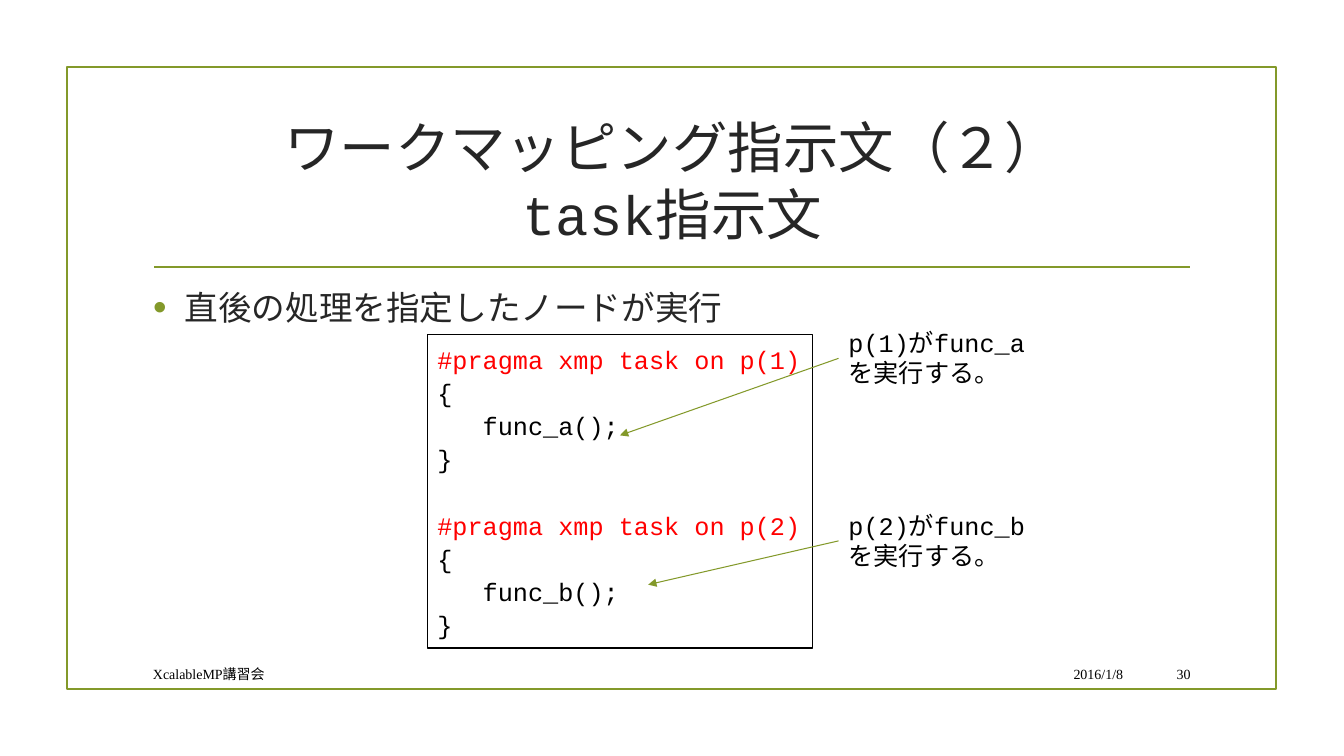
from pptx import Presentation
from pptx.dml.color import RGBColor
from pptx.enum import shapes, text
from pptx.oxml.ns import qn
from pptx.util import Pt
from lxml import etree

GREEN = RGBColor(0x83, 0x99, 0x2A)
DARK = RGBColor(0x26, 0x26, 0x26)
BLACK = RGBColor(0, 0, 0)
RED = RGBColor(0xFF, 0, 0)
WHITE = RGBColor(0xFF, 0xFF, 0xFF)
SERIF, SANS, MONO = "Times New Roman", "Arial", "Courier New"
LEFT, CENTER, RIGHT = text.PP_ALIGN.LEFT, text.PP_ALIGN.CENTER, text.PP_ALIGN.RIGHT

TITLE = [[("ワークマッピング指示文（２）\v", SERIF), ("task", MONO), ("指示文", SERIF)]]
BULLET = [[("直後の処理を指定したノードが実行", SERIF)]]
CODE = [
    ["#pragma xmp task on p(1)", "{", "   func_a();", "}"],
    ["#pragma xmp task on p(2)", "{", "   func_b();", "}"],
]
NOTES = [
    ("p(1)", "func_a", 230.4, (442.8, 311)),
    ("p(2)", "func_b", 360.8, (463, 417.6)),
]
FOOTERS = [
    ("2016/1/8", 683.3, 126, RIGHT),
    ("XcalableMP講習会", 102.2, 575.3, LEFT),
    ("30", 815, 42.5, RIGHT),
]
BODY_LEFT, BODY_WIDTH = 102.2, 756
CODE_GAP, BLOCK_GAP = 2.1, 25.8
NOTE_LEFT, NOTE_WIDTH, NOTE_HEIGHT = 599, 170, 51.1


def write(tf, paragraphs, size, color, align=LEFT, anchor=text.MSO_ANCHOR.TOP):
    tf.word_wrap = True
    tf.auto_size = text.MSO_AUTO_SIZE.NONE
    tf.vertical_anchor = anchor
    for i, runs in enumerate(paragraphs):
        p = tf.paragraphs[0] if i == 0 else tf.add_paragraph()
        p.alignment = align
        p.space_before = Pt(0)
        for words, font in runs:
            head, *rest = words.split("\v")
            for j, part in enumerate([head] + rest):
                if j:
                    p.add_line_break()
                if not part:
                    continue
                r = p.add_run()
                r.text = part
                r.font.size = Pt(size)
                r.font.name = font
                r.font.color.rgb = color
                ea = etree.SubElement(r.font._element, qn("a:ea"))
                ea.set("typeface", SANS)
    return tf


def place(sp, left, top, width, height):
    sp.left, sp.top, sp.width, sp.height = Pt(left), Pt(top), Pt(width), Pt(height)


def add_box(s, left, top, width, height, line, weight):
    sp = s.shapes.add_shape(shapes.MSO_SHAPE.RECTANGLE, Pt(left), Pt(top), Pt(width), Pt(height))
    sp.shadow.inherit = False
    sp.fill.solid()
    sp.fill.fore_color.rgb = WHITE
    sp.line.color.rgb = line
    sp.line.width = Pt(weight)
    return sp


def add_line(s, start, end, weight):
    cx = s.shapes.add_connector(shapes.MSO_CONNECTOR.STRAIGHT, *map(Pt, start + end))
    cx.line.color.rgb = GREEN
    cx.line.width = Pt(weight)
    etree.SubElement(cx._element.spPr, qn("a:effectLst"))
    return cx


def add_bullet(p):
    pPr = p._p.get_or_add_pPr()
    pPr.set("marL", str(Pt(22.5)))
    pPr.set("indent", str(-Pt(22.5)))
    color = etree.SubElement(pPr, qn("a:buClr"))
    etree.SubElement(color, qn("a:srgbClr")).set("val", str(GREEN))
    etree.SubElement(pPr, qn("a:buSzPct")).set("val", "115000")
    etree.SubElement(pPr, qn("a:buFont")).set("typeface", SANS)
    etree.SubElement(pPr, qn("a:buChar")).set("char", "•")


def main():
    prs = Presentation()
    prs.slide_width, prs.slide_height = Pt(960), Pt(540)
    s = prs.slides.add_slide(prs.slide_layouts[1])
    title, body = s.placeholders

    frame = add_box(s, 47.7, 48, 864, 444, GREEN, 1.25)
    s.shapes._spTree.insert(2, frame._element)
    add_line(s, (110.2, 190.8), (850.3, 190.8), 1.25)

    place(title, BODY_LEFT, 77, BODY_WIDTH, 103)
    write(title.text_frame, TITLE, 39.6, DARK, align=CENTER, anchor=text.MSO_ANCHOR.MIDDLE)
    place(body, BODY_LEFT, 201.6, BODY_WIDTH, 261.4)
    tf = write(body.text_frame, BULLET, 24, DARK)
    tf.paragraphs[0].space_after = Pt(6)
    add_bullet(tf.paragraphs[0])

    for words, left, width, align in FOOTERS:
        tb = s.shapes.add_textbox(Pt(left), Pt(470.2), Pt(width), Pt(22.3))
        write(tb.text_frame, [[(words, SERIF)]], 10, BLACK, align=align,
              anchor=text.MSO_ANCHOR.MIDDLE)

    code = add_box(s, 305.3, 239, 275, 223.9, BLACK, 1)
    lines = [[(line, MONO)] for block in CODE for line in block]
    tf = write(code.text_frame, lines, 18, BLACK)
    tf.margin_left = tf.margin_right = tf.margin_bottom = Pt(7.2)
    tf.margin_top = Pt(6.7)
    for i, p in enumerate(tf.paragraphs):
        starts_block = i % len(CODE[0]) == 0
        if starts_block:
            p.runs[0].font.color.rgb = RED
        if i:
            p.space_before = Pt(BLOCK_GAP if starts_block else CODE_GAP)

    for node, func, top, target in NOTES:
        tb = s.shapes.add_textbox(Pt(NOTE_LEFT), Pt(top), Pt(NOTE_WIDTH), Pt(NOTE_HEIGHT))
        runs = [(node, MONO), ("が", SANS), (func, MONO), ("\vを実行する。", SANS)]
        write(tb.text_frame, [runs], 18, BLACK)
        tb.text_frame.auto_size = text.MSO_AUTO_SIZE.SHAPE_TO_FIT_TEXT
        arrow = add_line(s, (NOTE_LEFT, top + NOTE_HEIGHT / 2), target, 0.75)
        arrow.begin_connect(tb, 1)
        etree.SubElement(arrow.line._get_or_add_ln(), qn("a:tailEnd")).set("type", "triangle")

    prs.save("out.pptx")


if __name__ == "__main__":
    main()
